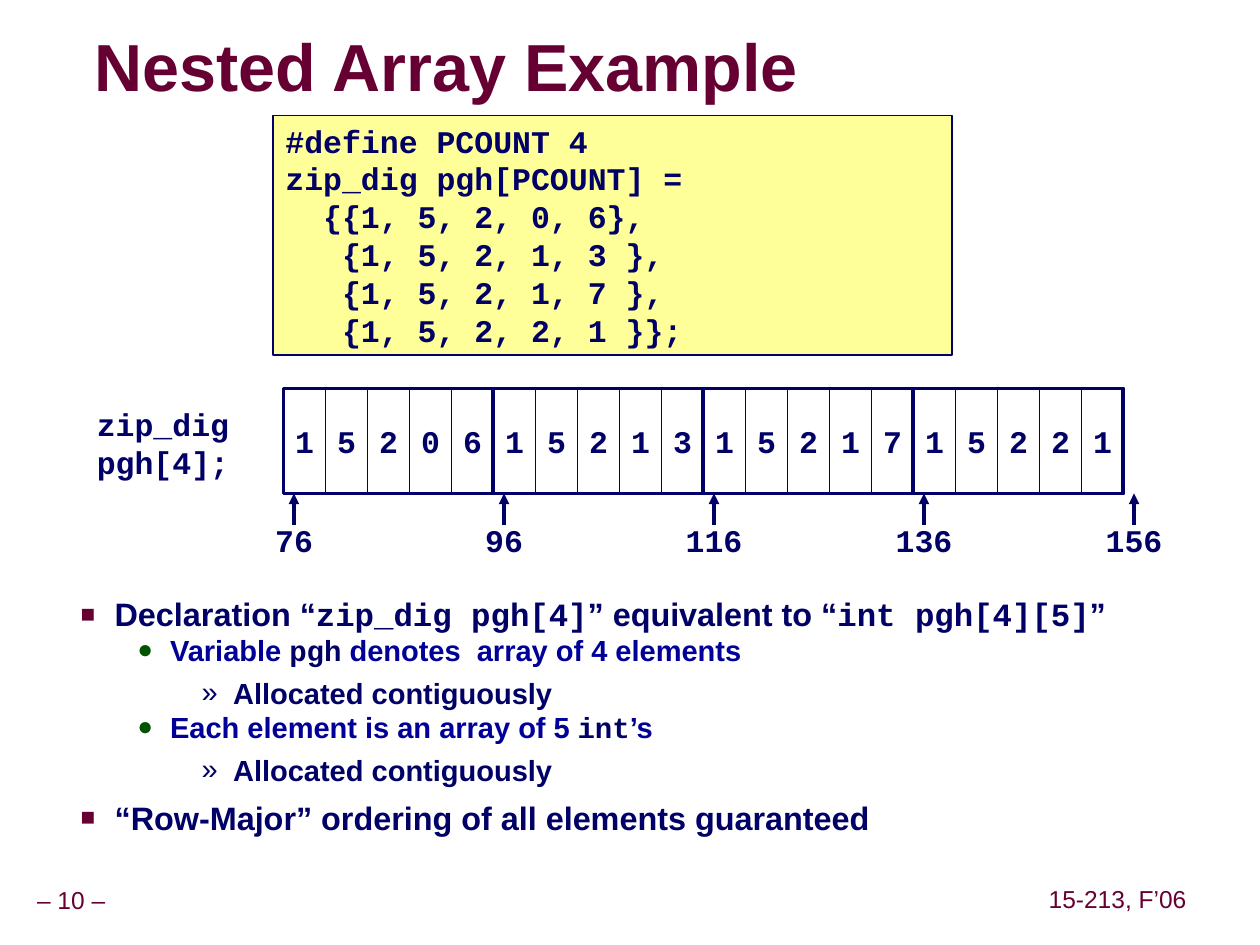
from lxml.etree import SubElement
from pptx import Presentation
from pptx.dml.color import RGBColor
from pptx.enum.shapes import MSO_CONNECTOR as CONN, MSO_SHAPE as SHAPE
from pptx.enum.text import MSO_ANCHOR as ANCHOR, MSO_AUTO_SIZE as AUTO, PP_ALIGN as ALIGN
from pptx.oxml import parse_xml
from pptx.oxml.ns import nsdecls, qn
from pptx.util import Inches, Pt

COL, ROW = 1 / 3, 1 / 12  # grid steps in inches: 30 columns by 90 rows
NAVY, BLUE, WINE, GREEN = "000066", "000099", "660033", "005400"
SANS, MONO = "Arial", "Courier New"


def color(value):
    return RGBColor.from_string(value)


def grid(x, y, w, h):
    """Turn columns and rows into left, top, width and height."""
    return Inches(x * COL), Inches(y * ROW), Inches(w * COL), Inches(h * ROW)


def add_run(p, text, font=SANS, size=18, ink=NAVY, bold=True):
    r = p.add_run()
    r.text = text
    r.font.name, r.font.size, r.font.bold = font, Pt(size), bold
    r.font.color.rgb = color(ink)
    return r


def write(tf, lines, align=ALIGN.LEFT, anchor=ANCHOR.TOP, wrap=True, spacing=None,
          inset=(0.1, 0.05), **fmt):
    """Fill a text frame with one paragraph per line."""
    tf.word_wrap, tf.vertical_anchor, tf.auto_size = wrap, anchor, AUTO.NONE
    tf.margin_left = tf.margin_right = Inches(inset[0])
    tf.margin_top = tf.margin_bottom = Inches(inset[1])
    for i, line in enumerate(lines):
        p = tf.paragraphs[0] if i == 0 else tf.add_paragraph()
        p.alignment = align
        if spacing:
            p.line_spacing = spacing
        add_run(p, line, **fmt)


def add_bullet(p, char, ink, percent, left, hang):
    pPr = p._p.get_or_add_pPr()
    pPr.set("marL", str(Inches(left)))
    pPr.set("indent", str(-Inches(hang)))
    clr = SubElement(pPr, qn("a:buClr"))
    SubElement(clr, qn("a:srgbClr"), val=ink)
    SubElement(pPr, qn("a:buSzPct"), val=str(percent * 1000))
    SubElement(pPr, qn("a:buFont"), typeface=SANS)
    SubElement(pPr, qn("a:buChar"), char=char)


class Deck:
    # level: bullet format, text size, text colour, space before, line spacing
    LEVELS = {
        1: (("■", WINE, 75, 0.81, 0.27), 18.5, NAVY, 6.2, 1.0),
        2: (("●", GREEN, 90, 1.25, 0.26), 16.6, BLUE, 2.2, 0.87),
        3: (("»", NAVY, 100, 1.75, 0.25), 16.6, NAVY, 4.5, 1.0),
    }

    def __init__(self):
        self.prs = Presentation()
        self.prs.slide_width, self.prs.slide_height = Inches(10), Inches(7.5)
        self.s = self.prs.slides.add_slide(self.prs.slide_layouts[1])

    def title(self, text, *at):
        sp = self.s.shapes.title
        sp.left, sp.top, sp.width, sp.height = grid(*at)
        write(sp.text_frame, [text], anchor=ANCHOR.MIDDLE, spacing=0.87,
              inset=(0, 0), size=38, ink=WINE)
        rPr = sp.text_frame.paragraphs[0].runs[0].font._element
        rPr.find(qn("a:solidFill")).addnext(parse_xml(
            f'<a:effectLst {nsdecls("a")}><a:outerShdw dist="38100" dir="2700000">'
            '<a:srgbClr val="969696"/></a:outerShdw></a:effectLst>'))

    def bullets(self, items, *at):
        """Each item is a level and its text parts, sans and code by turns."""
        sp = self.s.placeholders[1]
        sp.left, sp.top, sp.width, sp.height = grid(*at)
        tf = sp.text_frame
        tf.word_wrap, tf.auto_size = True, AUTO.NONE
        for i, (level, *parts) in enumerate(items):
            bullet, size, ink, before, spacing = self.LEVELS[level]
            p = tf.paragraphs[0] if i == 0 else tf.add_paragraph()
            p.level = level
            add_bullet(p, *bullet)
            p.space_before, p.line_spacing = Pt(before if i else 0), spacing
            for j, part in enumerate(parts):
                code = j % 2 == 1
                add_run(p, part, font=MONO if code else SANS, size=size,
                        ink=NAVY if code else ink)

    def text(self, lines, *at, **fmt):
        sp = self.s.shapes.add_textbox(*grid(*at))
        write(sp.text_frame, lines, **fmt)

    def box(self, *at, fill=None, line=1, lines=(), **fmt):
        sp = self.s.shapes.add_shape(SHAPE.RECTANGLE, *grid(*at))
        sp.shadow.inherit = False
        if fill:
            sp.fill.solid()
            sp.fill.fore_color.rgb = color(fill)
        else:
            sp.fill.background()
        sp.line.color.rgb, sp.line.width = color(NAVY), Pt(line)
        write(sp.text_frame, lines, font=MONO, **fmt)

    def arrow_up(self, x, bottom, top):
        x1, y1, _, rise = grid(x, bottom, 0, bottom - top)
        c = self.s.shapes.add_connector(CONN.STRAIGHT, x1, y1, x1, y1 - rise)
        c.line.color.rgb, c.line.width = color(NAVY), Pt(2)
        SubElement(c.line._get_or_add_ln(), qn("a:tailEnd"), type="triangle")
        SubElement(c._element.spPr, qn("a:effectLst"))


def draw_array(deck, rows, first_address, int_size=4):
    left, top, height = 6.75, 37, 10
    size = len(rows[0])
    for i in range(len(rows) + 1):
        x = left + 0.25 + i * size
        deck.arrow_up(x, top + 13, top + height)
        address = str(first_address + i * size * int_size)
        deck.text([address], x - 1, top + 12, 2, 4.8, align=ALIGN.CENTER,
                  wrap=False, font=MONO)
    for i, digit in enumerate("".join(rows)):
        deck.box(left + i, top, 1, height, fill="FFFFFF", lines=[digit],
                 align=ALIGN.CENTER, anchor=ANCHOR.MIDDLE, wrap=False)
    for i in range(len(rows)):
        deck.box(left + i * size, top, size, height, line=2.25)


def main():
    deck = Deck()
    footer = dict(align=ALIGN.CENTER, anchor=ANCHOR.MIDDLE, wrap=False, spacing=0.9,
                  inset=(0.05, 0.05), size=14, ink=WINE, bold=False)
    deck.text(["– 10 –"], -0.27, 84, 3.93, 3.72, **footer)
    deck.text(["15-213, F’06"], 24.81, 83.9, 3.6, 3.72, **footer)
    deck.title("Nested Array Example", 2.25, 3, 20.9, 7.5)
    deck.bullets([
        (1, "Declaration “", "zip_dig pgh[4]", "” equivalent to “", "int pgh[4][5]", "”"),
        (2, "Variable ", "pgh", " denotes  array of 4 elements"),
        (3, "Allocated contiguously"),
        (2, "Each element is an array of 5 ", "int", "’s"),
        (3, "Allocated contiguously"),
        (1, "“Row-Major” ordering of all elements guaranteed"),
    ], 0, 56, 29.5, 25)
    deck.box(6.5, 11, 16.17, 22.8, fill="FFFF99", lines=[
        "#define PCOUNT 4",
        "zip_dig pgh[PCOUNT] =",
        "  {{1, 5, 2, 0, 6},",
        "   {1, 5, 2, 1, 3 },",
        "   {1, 5, 2, 1, 7 },",
        "   {1, 5, 2, 2, 1 }};",
    ])
    deck.text(["zip_dig", "pgh[4];"], 2, 38, 3.75, 8.4, align=ALIGN.RIGHT,
              wrap=False, font=MONO)
    draw_array(deck, ["15206", "15213", "15217", "15221"], first_address=76)
    deck.prs.save("out.pptx")


if __name__ == "__main__":
    main()
